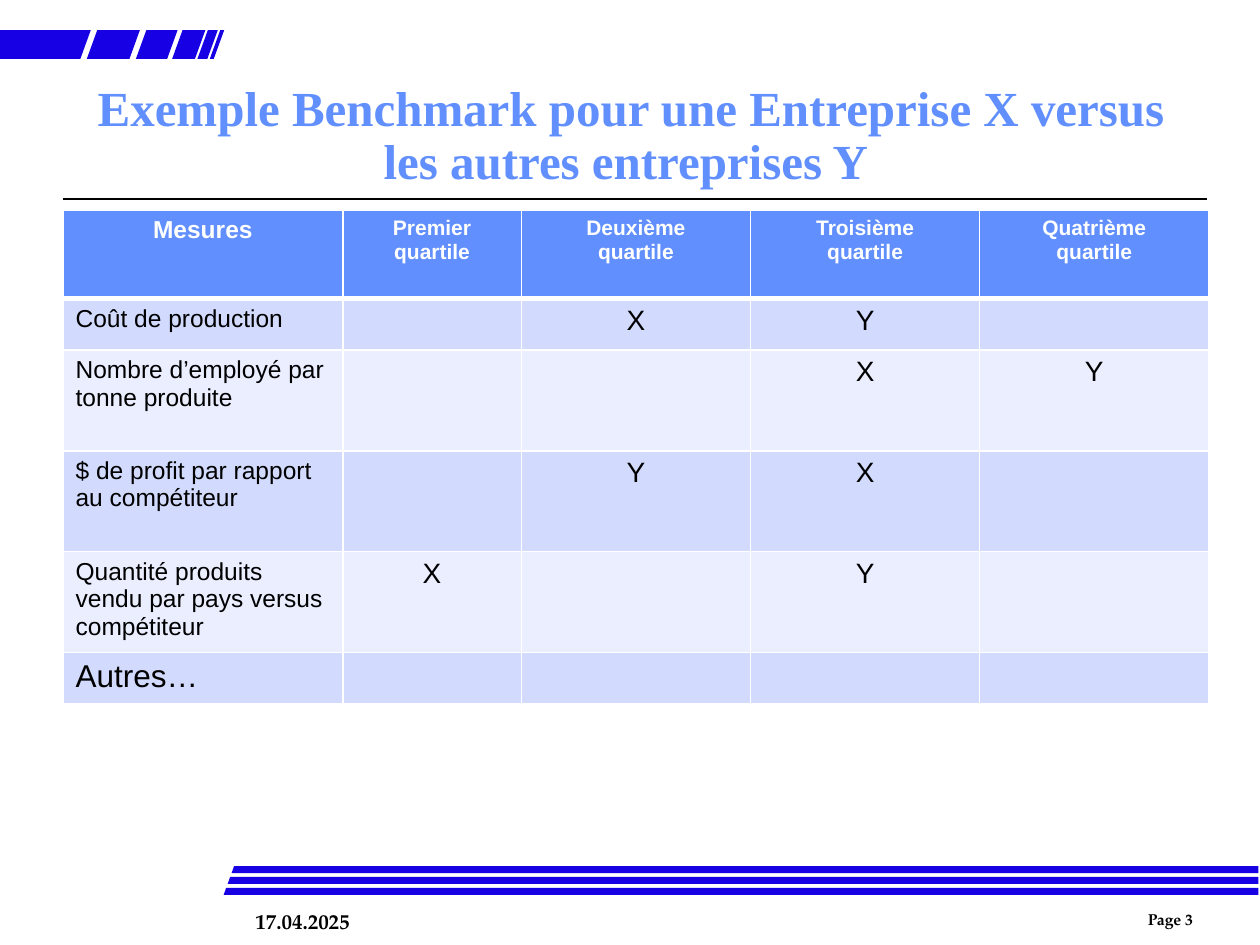
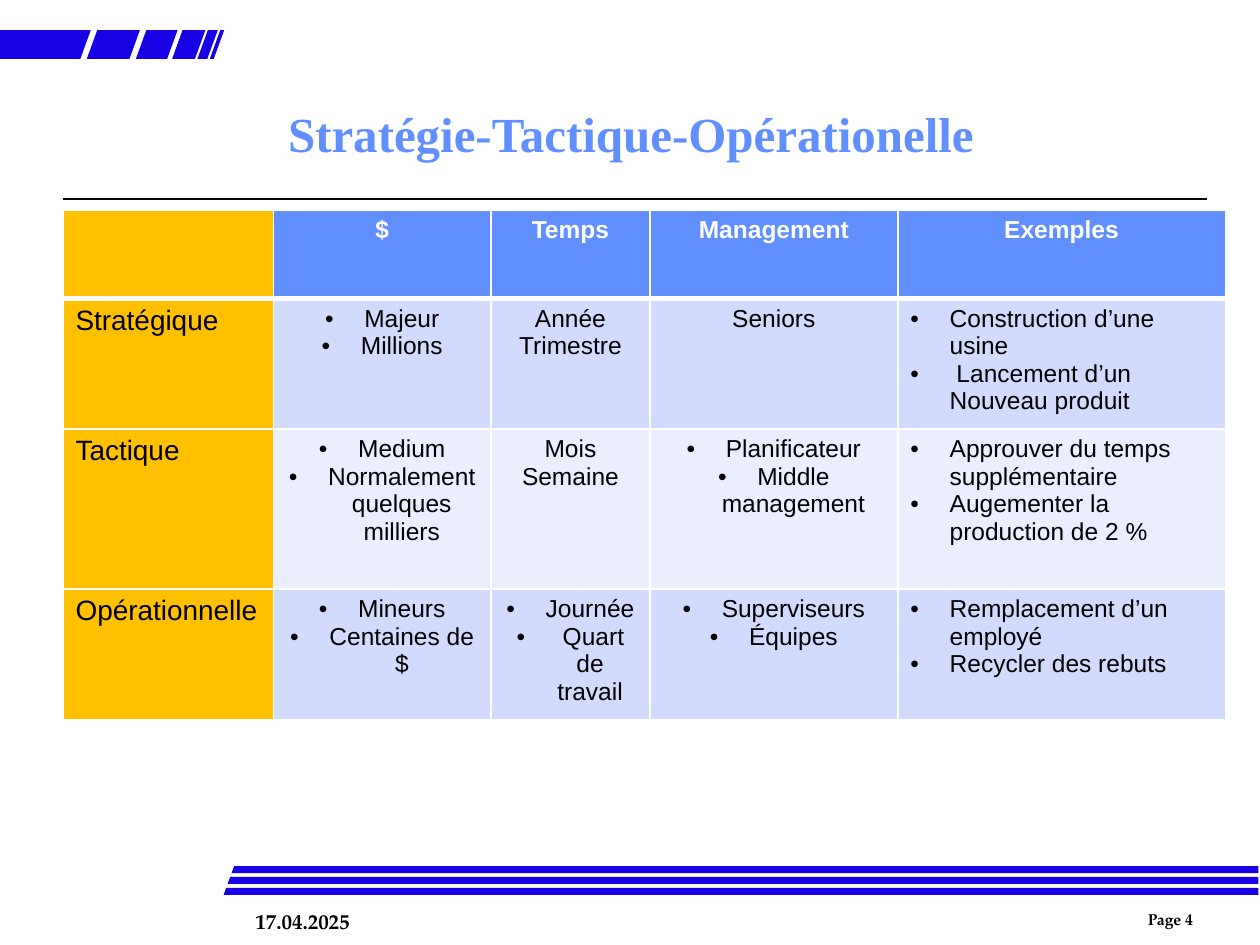
from lxml import etree
from pptx import Presentation
from pptx.dml.color import RGBColor
from pptx.enum.shapes import MSO_CONNECTOR
from pptx.enum.text import MSO_ANCHOR, MSO_AUTO_SIZE, PP_ALIGN
from pptx.oxml import parse_xml
from pptx.oxml.ns import nsdecls, qn
from pptx.util import Cm, Pt

COLORS = {
    "band": "1800E4", "accent": "618FFD", "label": "FFC000",
    "odd": "D2DBFE", "even": "EAEEFF", "white": "FFFFFF", "black": "000000",
}
BODY_FONT, TITLE_FONT, FOOTER_FONT = "Arial", "Times New Roman", "TeX Gyre Pagella"
LEFT, CENTER = PP_ALIGN.LEFT, PP_ALIGN.CENTER
BULLET = "• "
BULLET_INDENT = Cm(0.79)

DATE = "17.04.2025"
FIRST_PAGE = 3

# In cells, each line is a paragraph and "• " starts a bulleted one.
SLIDES = [
    {
        "title": "Exemple Benchmark pour une Entreprise X versus les autres entreprises Y ",
        "widths": [5.64, 3.6, 4.62, 4.62, 4.62],
        "heights": [1.78, 1.04, 2.03, 2.03, 2.03, 1.04],
        "header_sizes": [14, 12, 12, 12, 12],
        "label_sizes": [14, 14, 14, 14, 18],
        "body_size": 16,
        "left_columns": {0},
        "label_fill": None,
        "rows": [
            ["Mesures", "Premier quartile", "Deuxième\nquartile",
             "Troisième\nquartile", "Quatrième\nquartile"],
            ["Coût de production", "", "X", "Y", ""],
            ["Nombre d’employé par tonne produite", "", "", "X", "Y"],
            ["$ de profit par rapport au compétiteur", "", "Y", "X", ""],
            ["Quantité produits vendu par pays versus compétiteur", "X", "", "Y", ""],
            ["Autres…", "", "", "", ""],
        ],
    },
    {
        "title": "Stratégie-Tactique-Opérationelle",
        "widths": [4.24, 4.39, 3.2, 5, 6.6],
        "heights": [1.78, 2.62, 3.23, 2.62],
        "header_sizes": [14] * 5,
        "label_sizes": [16] * 3,
        "body_size": 14,
        "left_columns": {0, 4},
        "label_fill": "label",
        "rows": [
            ["", "$", "Temps", "Management", "Exemples"],
            ["Stratégique", "• Majeur\n• Millions", "Année\nTrimestre", "Seniors",
             "• Construction d’une usine\n•  Lancement d’un Nouveau produit"],
            ["Tactique", "• Medium\n• Normalement quelques milliers", "Mois\nSemaine",
             "• Planificateur\n• Middle management",
             "• Approuver du temps supplémentaire\n• Augementer la production de 2 %"],
            ["Opérationnelle", "• Mineurs\n• Centaines de $",
             "• Journée\n•  Quart de travail", "• Superviseurs\n• Équipes",
             "• Remplacement d’un employé\n• Recycler des rebuts"],
        ],
    },
]

# Slanted blocks at the top: left and right end of the upper edge
BLOCKS = [(0, 1.83), (1.96, 2.82), (2.95, 3.58), (3.68, 4.14), (4.19, 4.39), (4.44, 4.52)]
BLOCK_TOP, BLOCK_BOTTOM, BLOCK_SLANT = 0.61, 1.19, 0.21
# Stripes at the foot
STRIPE_COUNT, STRIPE_TOP, STRIPE_STEP, STRIPE_HEIGHT = 3, 17.46, 0.22, 0.14
STRIPE_LEFT, STRIPE_RIGHT, STRIPE_SHIFT, STRIPE_SLANT = 4.72, 25.37, 0.08, 0.05


def rgb(name):
    return RGBColor.from_string(COLORS[name])


def add_bullet(paragraph):
    properties = paragraph._p.get_or_add_pPr()
    properties.set("marL", str(BULLET_INDENT))
    properties.set("indent", str(-BULLET_INDENT))
    for tag, key, value in (("a:buFont", "typeface", BODY_FONT), ("a:buChar", "char", "•")):
        etree.SubElement(properties, qn(tag)).set(key, value)


def write_text(frame, text, font=BODY_FONT, size=14, color="black", bold=False,
               align=LEFT, line_spacing=None):
    for index, line in enumerate(text.split("\n")):
        paragraph = frame.paragraphs[0] if index == 0 else frame.add_paragraph()
        paragraph.alignment = align
        if line_spacing:
            paragraph.line_spacing = line_spacing
        if line.startswith(BULLET):
            add_bullet(paragraph)
            line = line.removeprefix(BULLET)
        run = paragraph.add_run()
        run.text = line
        run.font.name, run.font.size, run.font.bold = font, Pt(size), bold
        run.font.color.rgb = rgb(color)


def add_outline(slide, points):
    """Draw a closed band-coloured polygon through points given in cm."""
    start, *others = [(Cm(x), Cm(y)) for x, y in points]
    builder = slide.shapes.build_freeform(*start, scale=1.0)
    builder.add_line_segments(others, close=True)
    outline = builder.convert_to_shape()
    outline.shadow.inherit = False
    outline.fill.solid()
    outline.fill.fore_color.rgb = rgb("band")
    outline.line.fill.background()


def add_footer_text(slide, text, left, top, width, height, size):
    box = slide.shapes.add_textbox(Cm(left), Cm(top), Cm(width), Cm(height))
    box.text_frame.word_wrap = False
    box.text_frame.auto_size = MSO_AUTO_SIZE.SHAPE_TO_FIT_TEXT
    write_text(box.text_frame, text, font=FOOTER_FONT, size=size, bold=True)


def add_frame(slide, page):
    """Draw what all slides share: rule, blocks, stripes, date and page number."""
    rule = slide.shapes.add_connector(
        MSO_CONNECTOR.STRAIGHT, Cm(1.27), Cm(4.02), Cm(24.33), Cm(4.02))
    rule.line.color.rgb = rgb("black")
    rule.line.width = Pt(1)
    etree.SubElement(rule._element.spPr, qn("a:effectLst"))

    for left, right in BLOCKS:
        add_outline(slide, [(left, BLOCK_TOP), (right, BLOCK_TOP),
                            (right - BLOCK_SLANT, BLOCK_BOTTOM),
                            (max(0, left - BLOCK_SLANT), BLOCK_BOTTOM)])
    for index in range(STRIPE_COUNT):
        top = STRIPE_TOP + index * STRIPE_STEP
        left = STRIPE_LEFT - index * STRIPE_SHIFT
        bottom = top + STRIPE_HEIGHT
        add_outline(slide, [(left, top), (STRIPE_RIGHT, top),
                            (STRIPE_RIGHT, bottom), (left - STRIPE_SLANT, bottom)])

    add_footer_text(slide, DATE, 4.9, 18.19, 2.41, 0.76, 12)
    add_footer_text(slide, f"Page {page}", 22.89, 18.21, 1.93, 0.64, 9)


def set_title(slide, text):
    title = slide.shapes.title
    title.left, title.top, title.width, title.height = Cm(1.19), Cm(1.7), Cm(23.06), Cm(2.11)
    title.text_frame.word_wrap = True
    title.text_frame.auto_size = MSO_AUTO_SIZE.NONE
    title.text_frame.vertical_anchor = MSO_ANCHOR.MIDDLE
    write_text(title.text_frame, text, font=TITLE_FONT, size=28, color="accent",
               bold=True, align=CENTER, line_spacing=0.9)


def set_borders(cell, top=1, bottom=1):
    """Give the cell white borders, with widths in points."""
    properties = cell._tc.get_or_add_tcPr()
    for side, width in (("L", 1), ("R", 1), ("T", top), ("B", bottom)):
        properties.append(parse_xml(
            f'<a:ln{side} {nsdecls("a")} w="{Pt(width)}"><a:solidFill>'
            f'<a:srgbClr val="{COLORS["white"]}"/></a:solidFill></a:ln{side}>'))


def add_grid(slide, content):
    rows, widths, heights = content["rows"], content["widths"], content["heights"]
    grid = slide.shapes.add_table(len(rows), len(widths), Cm(1.27), Cm(4.24),
                                  Cm(sum(widths)), Cm(sum(heights))).table
    grid.horz_banding = False
    for column, width in zip(grid.columns, widths):
        column.width = Cm(width)
    for row, height in zip(grid.rows, heights):
        row.height = Cm(height)

    for r, texts in enumerate(rows):
        for c, text in enumerate(texts):
            cell = grid.cell(r, c)
            if r == 0:
                fill, size = "accent", content["header_sizes"][c]
            else:
                fill = "odd" if r % 2 else "even"
                size = content["label_sizes"][r - 1] if c == 0 else content["body_size"]
            if c == 0 and content["label_fill"]:
                fill = content["label_fill"]
            set_borders(cell, top=3 if r == 1 else 1, bottom=3 if r == 0 else 1)
            cell.fill.solid()
            cell.fill.fore_color.rgb = rgb(fill)
            if text:
                is_left = r > 0 and c in content["left_columns"]
                write_text(cell.text_frame, text, size=size, bold=r == 0,
                           color="black" if r else "white",
                           align=LEFT if is_left else CENTER)


def main():
    deck = Presentation()
    deck.slide_width, deck.slide_height = Cm(25.4), Cm(19.05)
    title_only = deck.slide_layouts[5]
    for page, content in enumerate(SLIDES, start=FIRST_PAGE):
        slide = deck.slides.add_slide(title_only)
        add_frame(slide, page)
        set_title(slide, content["title"])
        add_grid(slide, content)
    deck.save("out.pptx")


if __name__ == "__main__":
    main()
